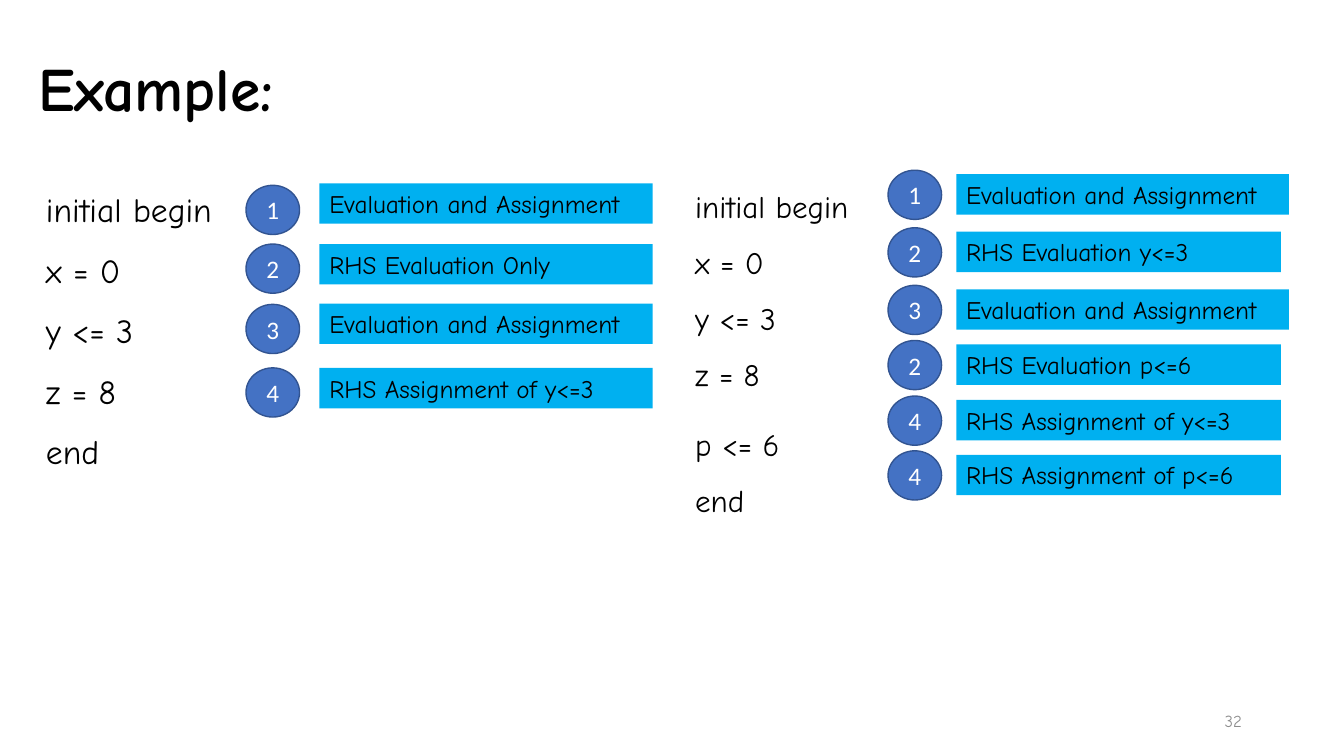
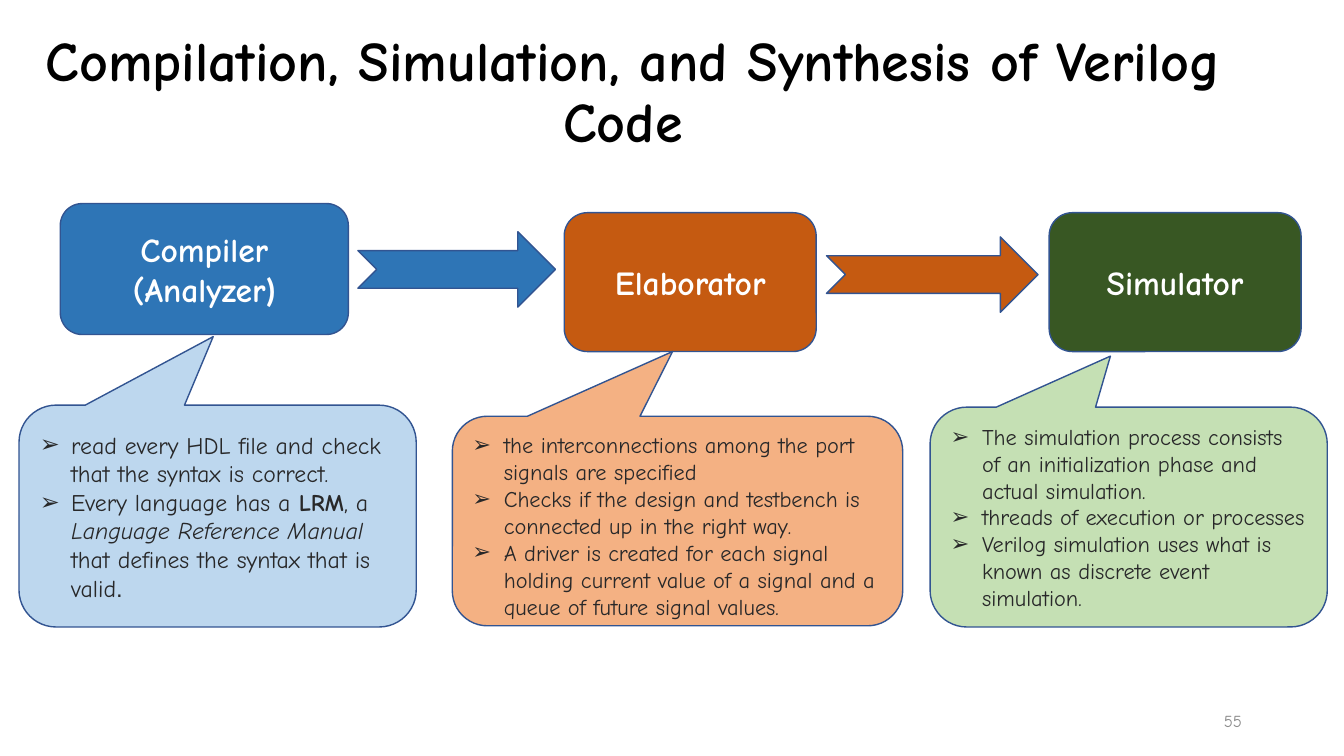
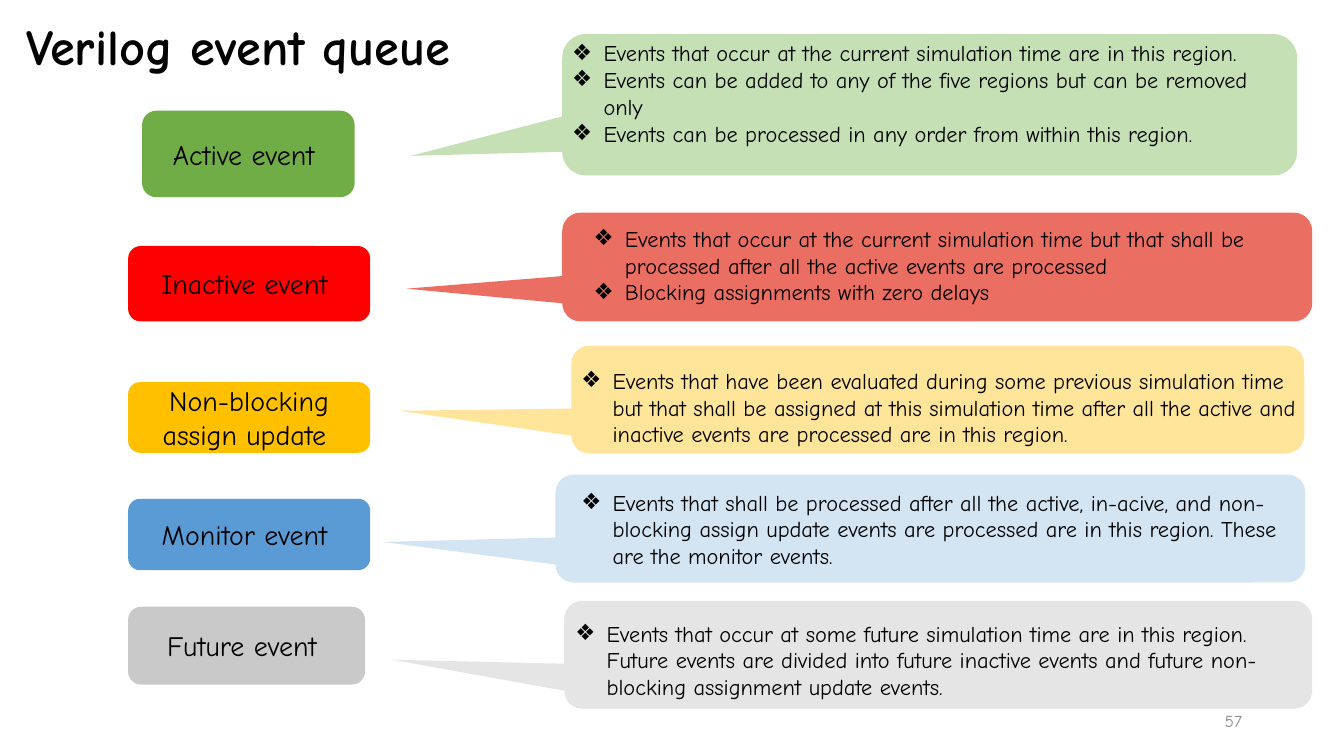
"""Build three slides on Verilog scheduling, compilation and event regions."""
from pptx import Presentation
from pptx import util as u
from pptx.dml.color import RGBColor
from pptx.enum import shapes, text
from pptx.oxml.xmlchemy import OxmlElement

BLACK = RGBColor(0x00, 0x00, 0x00)
WHITE = RGBColor(0xFF, 0xFF, 0xFF)
INK = RGBColor(0x28, 0x28, 0x29)
GREY = RGBColor(0x8C, 0x8C, 0x8C)
OUTLINE = RGBColor(0x32, 0x54, 0x91)
BADGE_BLUE = RGBColor(0x44, 0x72, 0xC4)
CYAN = RGBColor(0x00, 0xB0, 0xF0)
BLUE = RGBColor(0x2E, 0x75, 0xB6)
RUST = RGBColor(0xC5, 0x5A, 0x11)
FOREST = RGBColor(0x38, 0x57, 0x23)
PALE_BLUE = RGBColor(0xBD, 0xD7, 0xEE)
PEACH = RGBColor(0xF4, 0xB1, 0x83)
PALE_GREEN = RGBColor(0xC5, 0xE0, 0xB4)
GREEN = RGBColor(0x70, 0xAD, 0x47)
RED = RGBColor(0xFF, 0x00, 0x00)
GOLD = RGBColor(0xFF, 0xC0, 0x00)
SKY = RGBColor(0x5B, 0x9B, 0xD5)
SILVER = RGBColor(0xC9, 0xC9, 0xC9)
BRICK = RGBColor(0xE0, 0x23, 0x10)
SAND = RGBColor(0xFF, 0xD9, 0x66)
PALE_GREY = RGBColor(0xD9, 0xD9, 0xD9)

FONT = "Comic Neue"
NUMBER_FONT = "Calibri"
LEFT, CENTER, RIGHT = text.PP_ALIGN.LEFT, text.PP_ALIGN.CENTER, text.PP_ALIGN.RIGHT
TOP, MIDDLE = text.MSO_ANCHOR.TOP, text.MSO_ANCHOR.MIDDLE
SHAPE = shapes.MSO_SHAPE


def add_bullet(p, char):
    pPr = p._p.get_or_add_pPr()
    indent = u.Cm(0.79)
    pPr.set("marL", str(indent))
    pPr.set("indent", str(-indent))
    for tag, key, value in (("a:buFont", "typeface", "Arial"), ("a:buChar", "char", char)):
        el = OxmlElement(tag)
        el.set(key, value)
        pPr.append(el)


def write(tf, paragraphs, size=18, font=FONT, color=BLACK, bold=False, align=LEFT,
          anchor=TOP, spacing=None, before=0, bullet=None):
    tf.word_wrap = True
    tf.vertical_anchor = anchor
    if isinstance(paragraphs, str):
        paragraphs = [paragraphs]
    for i, content in enumerate(paragraphs):
        p = tf.paragraphs[0] if i == 0 else tf.add_paragraph()
        p.alignment = align
        p.space_before = u.Pt(before)
        if spacing:
            p.line_spacing = spacing
        if bullet:
            add_bullet(p, bullet)
        for piece in [content] if isinstance(content, str) else content:
            words, style = (piece, {}) if isinstance(piece, str) else piece
            for j, line in enumerate(words.split("\n")):
                if j:
                    p.add_line_break()
                r = p.add_run()
                r.text = line
                r.font.size = u.Pt(size)
                r.font.name = style.get("font", font)
                r.font.bold = style.get("bold", bold)
                r.font.italic = style.get("italic", False)
                r.font.color.rgb = color


class Deck:
    def __init__(self):
        self.prs = Presentation()
        self.prs.slide_width, self.prs.slide_height = u.Cm(33.87), u.Cm(19.05)
        self.s = None

    def slide(self, title, box, number, size, align=LEFT):
        self.s = self.prs.slides.add_slide(self.prs.slide_layouts[6])
        self.text(title, box, size=size, bold=True, align=align, anchor=MIDDLE, spacing=0.9)
        self.text(str(number), (23.93, 17.65, 7.62, 1.02), size=12, color=GREY,
                  align=RIGHT, anchor=MIDDLE)

    def text(self, paragraphs, box, **style):
        sp = self.s.shapes.add_textbox(*map(u.Cm, box))
        write(sp.text_frame, paragraphs, **style)

    def shape(self, kind, box, fill, paragraphs=None, line=None, alpha=None, adj=(), **style):
        sp = self.s.shapes.add_shape(kind, *map(u.Cm, box))
        sp.shadow.inherit = False
        sp.fill.solid()
        sp.fill.fore_color.rgb = fill
        if alpha:
            el = OxmlElement("a:alpha")
            el.set("val", str(alpha * 1000))
            sp.fill._xPr.solidFill[0].append(el)
        if line:
            sp.line.color.rgb = line
            sp.line.width = u.Pt(1)
        else:
            sp.line.fill.background()
        for i, value in enumerate(adj):
            sp.adjustments[i] = value
        if paragraphs:
            write(sp.text_frame, paragraphs, **style)

    def step(self, number, label, x, y, label_x, label_y, label_width):
        self.shape(SHAPE.OVAL, (x, y, 1.35, 1.24), BADGE_BLUE, str(number), line=OUTLINE,
                   font=NUMBER_FONT, color=WHITE, align=CENTER, anchor=MIDDLE)
        self.shape(SHAPE.RECTANGLE, (label_x, label_y, label_width, 1.02), CYAN, label)

    def box(self, label, box, fill, **style):
        self.shape(SHAPE.ROUNDED_RECTANGLE, box, fill, label, align=CENTER, anchor=MIDDLE, **style)

    def callout(self, box, fill, tip, paragraphs=None, **style):
        self.shape(SHAPE.ROUNDED_RECTANGULAR_CALLOUT, box, fill, paragraphs,
                   adj=(*tip, 0.167), **style)


def example_slide(deck):
    deck.slide("Example:", (0.71, 0.46, 29.21, 3.68), 32, 44)
    deck.text("initial begin\nx = 0\ny <= 3\nz = 8\nend", (0.91, 4.14, 5.72, 9.83),
              size=24, spacing=1.5, before=10)
    deck.text(["initial begin\nx = 0\ny <= 3\nz = 8", "p <= 6\nend"],
              (17.27, 4.14, 4.93, 10.49), size=22.2, spacing=1.5, before=10)
    both = "Evaluation and Assignment"
    for number, label, y, label_y in (
            (1, both, 4.67, 4.62),
            (2, "RHS Evaluation Only", 6.15, 6.15),
            (3, both, 7.67, 7.65),
            (4, "RHS Assignment of y<=3", 9.27, 9.27)):
        deck.step(number, label, 6.2, y, 8.05, label_y, 8.4)
    for number, label, y in (
            (1, both, 4.29),
            (2, "RHS Evaluation y<=3", 5.74),
            (3, both, 7.19),
            (2, "RHS Evaluation p<=6", 8.58),
            (4, "RHS Assignment of y<=3", 9.98),
            (4, "RHS Assignment of p<=6", 11.36)):
        deck.step(number, label, 22.38, y, 24.1, y + 0.1, 8.38 if label == both else 8.18)


def compilation_slide(deck):
    deck.slide("Compilation, Simulation, and Synthesis of Verilog Code ",
               (0.81, 0.53, 30.28, 3.68), 55, 40, CENTER)
    compiler = ["Compiler", ["(Analyzer", (")", {"font": NUMBER_FONT})]]
    for label, box, fill in (
            (compiler, (1.52, 5.13, 7.26, 3.3), BLUE),
            ("Elaborator", (14.22, 5.36, 6.35, 3.5), RUST),
            ("Simulator", (26.44, 5.36, 6.35, 3.5), FOREST)):
        deck.box(label, box, fill, line=OUTLINE, size=24, color=WHITE, bold=True)
    for box, fill in (((9.02, 5.84, 4.98, 1.9), BLUE), ((20.83, 5.97, 5.33, 1.9), RUST)):
        deck.shape(SHAPE.NOTCHED_RIGHT_ARROW, box, fill, line=OUTLINE)
    for box, fill, tip, size, anchor, notes in (
            ((0.48, 10.21, 10.01, 5.59), PALE_BLUE, (-0.011, -0.809), 17, MIDDLE,
             ["read every HDL file and check that the syntax is correct.",
              ["Every language has a ", ("LRM", {"bold": True}), ", a ",
               ("Language Reference Manual ", {"italic": True}),
               "that defines the syntax that is valid", (".", {"font": "Arial"})]]),
            ((11.4, 10.49, 11.35, 5.28), PEACH, (-0.011, -0.809), 16, TOP,
             ["the interconnections among the port signals are specified",
              "Checks if the design and testbench is connected up in the right way.",
              "A driver is created for each signal holding current value of a signal "
              "and a queue of future signal values."]),
            ((23.44, 10.26, 10.01, 5.54), PALE_GREEN, (-0.046, -0.732), 16, MIDDLE,
             ["The simulation process consists of an initialization phase and actual simulation.",
              "threads of execution or processes",
              "Verilog simulation uses what is known as discrete event simulation."])):
        deck.callout(box, fill, tip, notes, line=OUTLINE, size=size, color=INK,
                     anchor=anchor, bullet="➢")


def event_queue_slide(deck):
    deck.slide("Verilog event queue", (0.41, -0.13, 27.69, 2.72), 57, 36)
    for label, box, fill, region, tint, alpha, tip, notes_box, notes in (
            ("Active event ", (3.58, 2.79, 5.36, 2.18), GREEN,
             (14.17, 0.86, 18.52, 3.56), PALE_GREEN, None, (-0.706, 0.362),
             (14.17, 0.86, 18.67, 3.68),
             ["Events that occur at the current simulation time are in this region.",
              "Events can be added to any of the five regions but can be removed only",
              "Events can be processed in any order from within this region."]),
            ("Inactive event ", (3.23, 6.2, 6.1, 1.9), RED,
             (14.17, 5.36, 18.9, 2.74), BRICK, 66, (-0.708, 0.199),
             (14.71, 5.54, 18.36, 2.31),
             ["Events that occur at the current simulation time but that shall be "
              "processed after all the active events are processed",
              "Blocking assignments with zero delays"]),
            ("Non-blocking assign update ", (3.23, 9.63, 6.1, 1.78), GOLD,
             (14.4, 8.71, 18.47, 2.72), SAND, 66, (-0.735, 0.104),
             (14.4, 9.12, 18.85, 2.31),
             "Events that have been evaluated during some previous simulation time but that "
             "shall be assigned at this simulation time after all the active and inactive "
             "events are processed are in this region."),
            ("Monitor event ", (3.23, 12.57, 6.1, 1.8), SKY,
             (14, 11.96, 18.9, 2.72), PALE_BLUE, 66, (-0.73, 0.124),
             (14.4, 12.19, 18.52, 2.31),
             "Events that shall be processed after all the active, in-acive, and non-blocking "
             "assign update events are processed are in this region. These are the monitor "
             "events."),
            ("Future event ", (3.23, 15.29, 5.97, 1.96), SILVER,
             (14.22, 15.14, 18.85, 2.72), PALE_GREY, 66, (-0.73, 0.046),
             (14.25, 15.49, 18.52, 2.31),
             "Events that occur at some future simulation time are in this region. Future "
             "events are divided into future inactive events and future non-blocking "
             "assignment update events.")):
        deck.box(label, box, fill, size=20)
        deck.callout(region, tint, tip, alpha=alpha)
        deck.text(notes, notes_box, size=16, bullet="❖")


def main():
    deck = Deck()
    example_slide(deck)
    compilation_slide(deck)
    event_queue_slide(deck)
    deck.prs.save("out.pptx")


if __name__ == "__main__":
    main()
